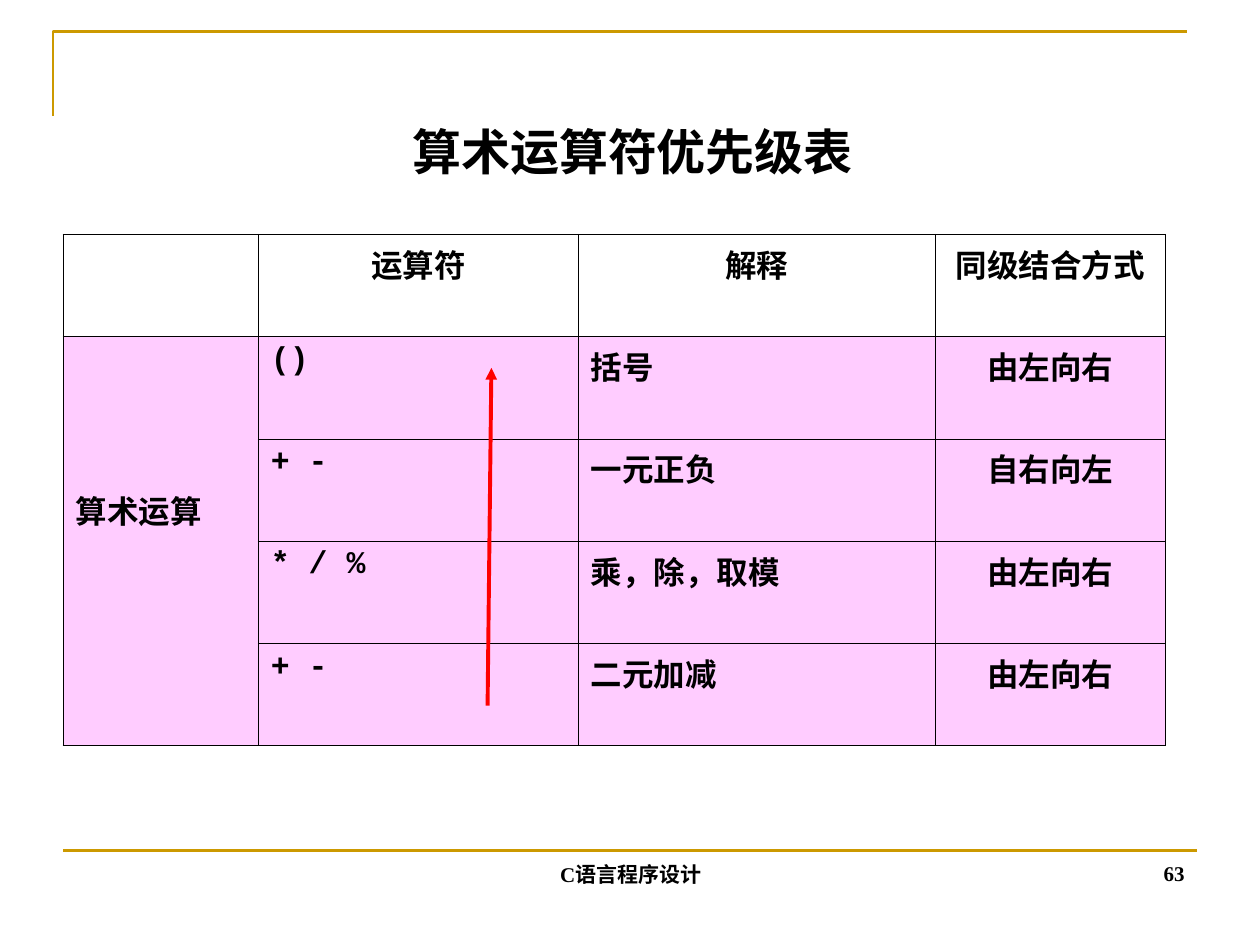
from lxml.etree import SubElement
from pptx import Presentation
from pptx.dml.color import RGBColor
from pptx.enum.shapes import MSO_CONNECTOR
from pptx.enum.text import MSO_ANCHOR, PP_ALIGN
from pptx.oxml.ns import qn
from pptx.util import Inches, Pt

COLORS = {"ink": "000000", "gold": "CC9900", "pink": "FFCCFF", "red": "FF0000"}
SERIF, SANS, MONO = "Times New Roman", "Arial", "Courier New"
HEADINGS = ["", "运算符", "解释", "同级结合方式"]
OPERATORS = [
    ("()", "括号", "由左向右"),
    ("+ -", "一元正负", "自右向左"),
    ("* / %", "乘，除，取模", "由左向右"),
    ("+ -", "二元加减", "由左向右"),
]
COLUMN_WIDTHS = [1.55, 2.54, 2.83, 1.83]


def color(name):
    return RGBColor.from_string(COLORS[name])


def write(frame, text, size, font=SERIF, align=PP_ALIGN.LEFT):
    paragraph = frame.paragraphs[0]
    paragraph.alignment = align
    run = paragraph.add_run()
    run.text = text
    run.font.name = font
    run.font.size = Pt(size)
    run.font.bold = True
    run.font.color.rgb = color("ink")


def add_line(slide, start, end, ink, width):
    line = slide.shapes.add_connector(
        MSO_CONNECTOR.STRAIGHT, *(Inches(n) for n in (*start, *end)))
    line.line.color.rgb = color(ink)
    line.line.width = Pt(width)
    SubElement(line._element.spPr, qn("a:effectLst"))
    return line


def add_corner_rule(slide, left, top, width, height):
    builder = slide.shapes.build_freeform(
        Inches(left), Inches(top + height))
    builder.add_line_segments(
        [(Inches(left), Inches(top)), (Inches(left + width), Inches(top))],
        close=False)
    corner = builder.convert_to_shape()
    corner.shadow.inherit = False
    corner.fill.background()
    corner.line.color.rgb = color("gold")
    corner.line.width = Pt(1.5)


def add_title(slide, left, top, width, height):
    title = slide.shapes.title
    title.left, title.top = Inches(left), Inches(top)
    title.width, title.height = Inches(width), Inches(height)
    title.text_frame.vertical_anchor = MSO_ANCHOR.MIDDLE
    write(title.text_frame, "算术运算符优先级表", 28, align=PP_ALIGN.CENTER)


def add_footer_text(slide, text, align, left, top, width, height):
    footer = slide.shapes.add_textbox(
        Inches(left), Inches(top), Inches(width), Inches(height))
    footer.text_frame.word_wrap = True
    footer.text_frame.vertical_anchor = MSO_ANCHOR.BOTTOM
    write(footer.text_frame, text, 12, align=align)


def add_footer(slide, left, top, width):
    add_line(slide, (left, top), (left + width, top), "gold", 1.5)
    add_footer_text(slide, "C语言程序设计", PP_ALIGN.CENTER,
                    left + 2.92, top - 0.16, 3.17, 0.5)
    add_footer_text(slide, "63", PP_ALIGN.RIGHT,
                    left + width - 2.33, top - 0.17, 2.33, 0.5)


def style_cell(cell, fill=None):
    properties = cell._tc.get_or_add_tcPr()
    for side in ("a:lnL", "a:lnR", "a:lnT", "a:lnB"):
        border = SubElement(properties, qn(side), w=str(Pt(0.45)))
        solid = SubElement(border, qn("a:solidFill"))
        SubElement(solid, qn("a:srgbClr"), val=COLORS["ink"])
    if fill:
        cell.fill.solid()
        cell.fill.fore_color.rgb = color(fill)
    else:
        cell.fill.background()


def add_precedence_table(slide, left, top, width, height):
    rows = len(OPERATORS) + 1
    table = slide.shapes.add_table(
        rows, len(HEADINGS), Inches(left), Inches(top),
        Inches(width), Inches(height)).table
    table.first_row = table.horz_banding = False
    for column, column_width in zip(table.columns, COLUMN_WIDTHS):
        column.width = Inches(column_width)

    for r in range(rows):
        for c in range(len(HEADINGS)):
            style_cell(table.cell(r, c), "pink" if r else None)

    for c, heading in enumerate(HEADINGS):
        if heading:
            write(table.cell(0, c).text_frame, heading, 18,
                  align=PP_ALIGN.CENTER)

    group = table.cell(1, 0)
    group.merge(table.cell(rows - 1, 0))
    group.vertical_anchor = MSO_ANCHOR.MIDDLE
    group.margin_bottom = Inches(0.55)
    write(group.text_frame, "算术运算", 18, SANS)

    columns = [(MONO, PP_ALIGN.LEFT), (SERIF, PP_ALIGN.LEFT),
               (SERIF, PP_ALIGN.CENTER)]
    for r, operator in enumerate(OPERATORS, 1):
        for c, (text, (font, align)) in enumerate(zip(operator, columns), 1):
            write(table.cell(r, c).text_frame, text, 18, font, align)


def add_priority_arrow(slide, start, end):
    arrow = add_line(slide, start, end, "red", 2.25)
    SubElement(arrow.line._get_or_add_ln(), qn("a:tailEnd"), type="triangle")


def main():
    deck = Presentation()
    deck.slide_width, deck.slide_height = Inches(10), Inches(7.5)
    slide = deck.slides.add_slide(deck.slide_layouts[5])
    add_corner_rule(slide, 0.42, 0.25, 9, 0.67)
    add_footer(slide, 0.5, 6.75, 9)
    add_title(slide, 0.52, 0.92, 9, 0.56)
    add_precedence_table(slide, 0.5, 1.86, sum(COLUMN_WIDTHS), 4.06)
    add_priority_arrow(slide, (3.87, 5.6), (3.9, 2.92))
    deck.save("out.pptx")


if __name__ == "__main__":
    main()
